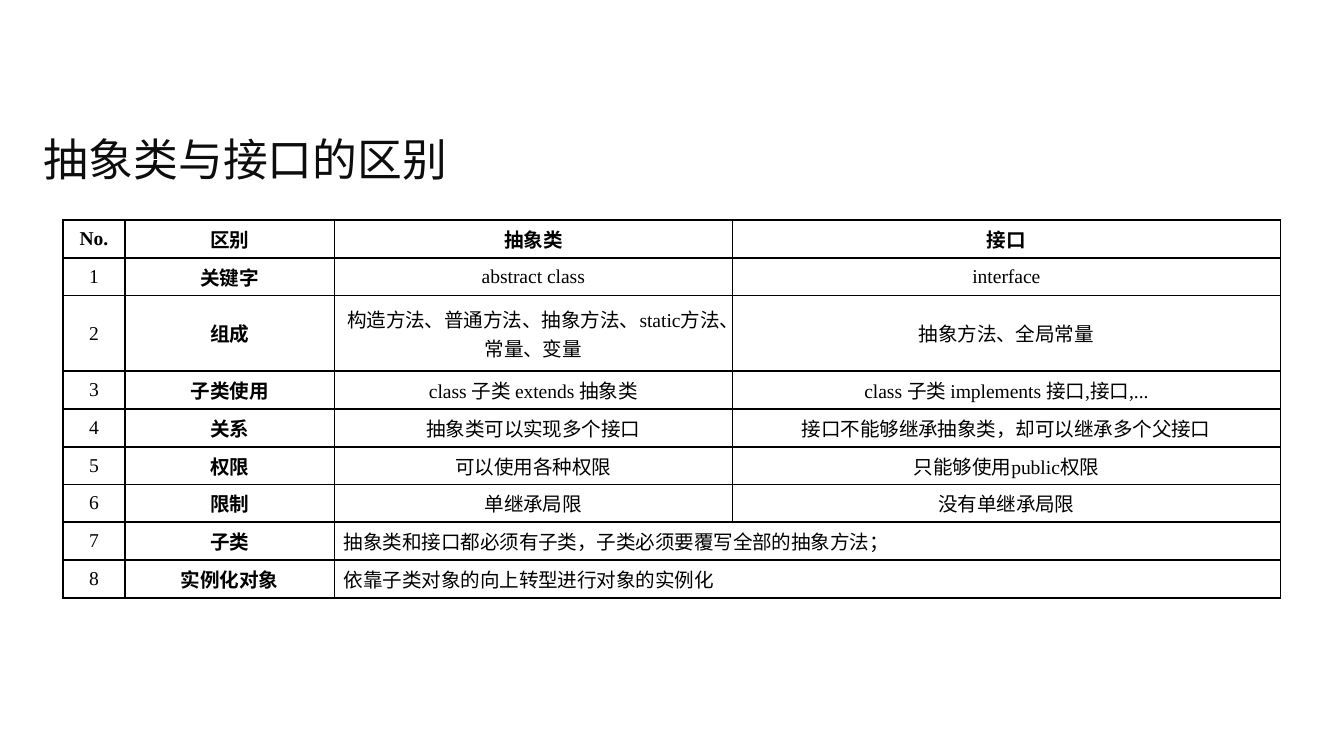
from lxml import etree
from pptx import Presentation
from pptx.dml.color import RGBColor
from pptx.enum.text import MSO_ANCHOR, PP_ALIGN
from pptx.oxml.ns import qn
from pptx.util import Cm, Pt

MIDDLE = MSO_ANCHOR.MIDDLE
LEFT, CENTER, JUSTIFY = PP_ALIGN.LEFT, PP_ALIGN.CENTER, PP_ALIGN.JUSTIFY

HEADER = ["No.", "区别", "抽象类", "接口"]
DIFFERENCES = [
    ["关键字", "abstract class", "interface"],
    ["组成", "构造方法、普通方法、抽象方法、static方法、常量、变量", "抽象方法、全局常量"],
    ["子类使用", "class 子类 extends 抽象类", "class 子类 implements 接口,接口,..."],
    ["关系", "抽象类可以实现多个接口", "接口不能够继承抽象类，却可以继承多个父接口"],
    ["权限", "可以使用各种权限", "只能够使用public权限"],
    ["限制", "单继承局限", "没有单继承局限"],
    ["子类", "抽象类和接口都必须有子类，子类必须要覆写全部的抽象方法；"],
    ["实例化对象", "依靠子类对象的向上转型进行对象的实例化"],
]
COLUMN_WIDTHS = [1.17, 3.96, 7.52, 10.36]
ROW_UNITS = [1, 1, 2, 1, 1, 1, 1, 1, 1]
TABLE_HEIGHT = 7.14


def rgb(value):
    return RGBColor.from_string(value)


class SlideBuilder:
    cjk_font = "Noto Sans CJK SC"
    latin_font = "Times New Roman"
    title_color = "0D0D0D"
    table_color = "000000"

    def __init__(self, slide):
        self.slide = slide

    def add_text(self, tf, text, align, color, **style):
        p = tf.paragraphs[0]
        p.alignment = align
        r = p.add_run()
        r.text = text
        for name, value in style.items():
            setattr(r.font, name, value)
        r.font.color.rgb = rgb(color)
        ea = etree.SubElement(r._r.get_or_add_rPr(), qn("a:ea"))
        ea.set("typeface", self.cjk_font)

    def title(self, text, left, top, width, height):
        sp = self.slide.shapes.add_textbox(Cm(left), Cm(top), Cm(width), Cm(height))
        tf = sp.text_frame
        tf.word_wrap = True
        tf.vertical_anchor = MIDDLE
        self.add_text(tf, text, LEFT, self.title_color, name=self.cjk_font, size=Pt(24))

    def borders(self, cell):
        """Draw a solid 1 pt line on all four sides of a cell."""
        tc_pr = cell._tc.get_or_add_tcPr()
        for i, side in enumerate(("lnL", "lnR", "lnT", "lnB")):
            ln = etree.Element(qn(f"a:{side}"), w=str(Pt(1)))
            fill = etree.SubElement(ln, qn("a:solidFill"))
            etree.SubElement(fill, qn("a:srgbClr"), val=self.table_color)
            tc_pr.insert(i, ln)

    def cell(self, cell, text, align, bold):
        cell_format = {
            "vertical_anchor": MIDDLE,
            "margin_left": Cm(0.18), "margin_right": Cm(0.18),
            "margin_top": 0, "margin_bottom": 0,
        }
        for name, value in cell_format.items():
            setattr(cell, name, value)
        self.add_text(cell.text_frame, text, align, self.table_color,
                      name=self.latin_font, size=Pt(10.5), bold=bold)

    def table(self, rows, left, top, widths, height, units):
        """Fill a table, letting the last text of a short row span the rest."""
        frame = self.slide.shapes.add_table(
            len(rows), len(widths), Cm(left), Cm(top), Cm(sum(widths)), Cm(height))
        table = frame.table
        table.first_row = table.horz_banding = False
        for column, width in zip(table.columns, widths):
            column.width = Cm(width)
        for row, unit in zip(table.rows, units):
            row.height = Cm(height * unit / sum(units))
        for cell in table.iter_cells():
            cell.fill.background()
            self.borders(cell)
        for i, texts in enumerate(rows):
            last = len(texts) - 1
            spans = len(texts) < len(widths)
            if spans:
                table.cell(i, last).merge(table.cell(i, len(widths) - 1))
            for j, text in enumerate(texts):
                align = JUSTIFY if spans and j == last else CENTER
                self.cell(table.cell(i, j), text, align, bold=i == 0 or j == 1)


def main():
    prs = Presentation()
    prs.slide_width, prs.slide_height = Cm(25.4), Cm(14.29)
    s = SlideBuilder(prs.slides.add_slide(prs.slide_layouts[6]))
    s.title("抽象类与接口的区别", 0.58, 2.18, 24.2, 1.63)
    rows = [HEADER] + [[str(n), *texts] for n, texts in enumerate(DIFFERENCES, 1)]
    s.table(rows, 1.19, 4.16, COLUMN_WIDTHS, TABLE_HEIGHT, ROW_UNITS)
    prs.save("out.pptx")


if __name__ == "__main__":
    main()
